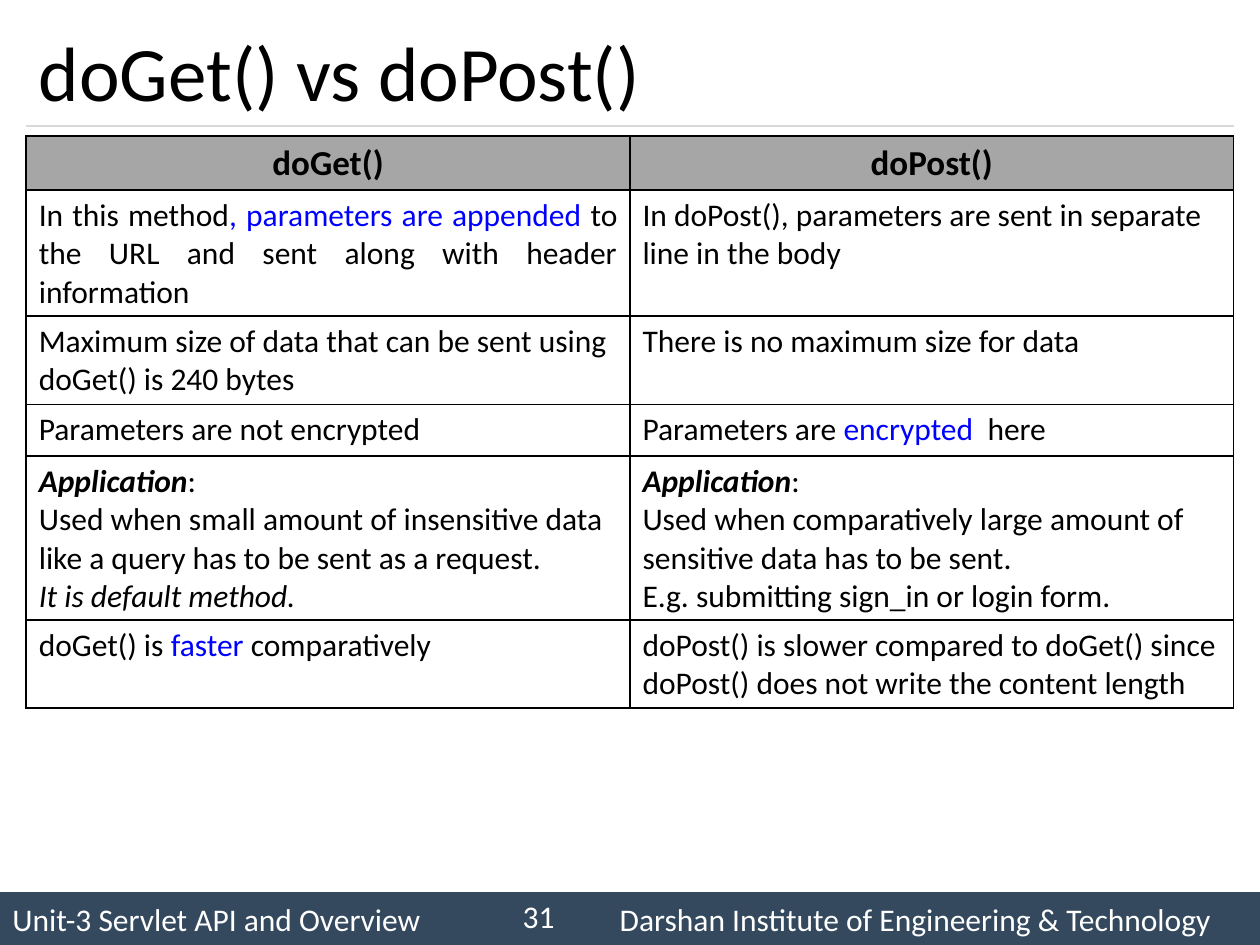
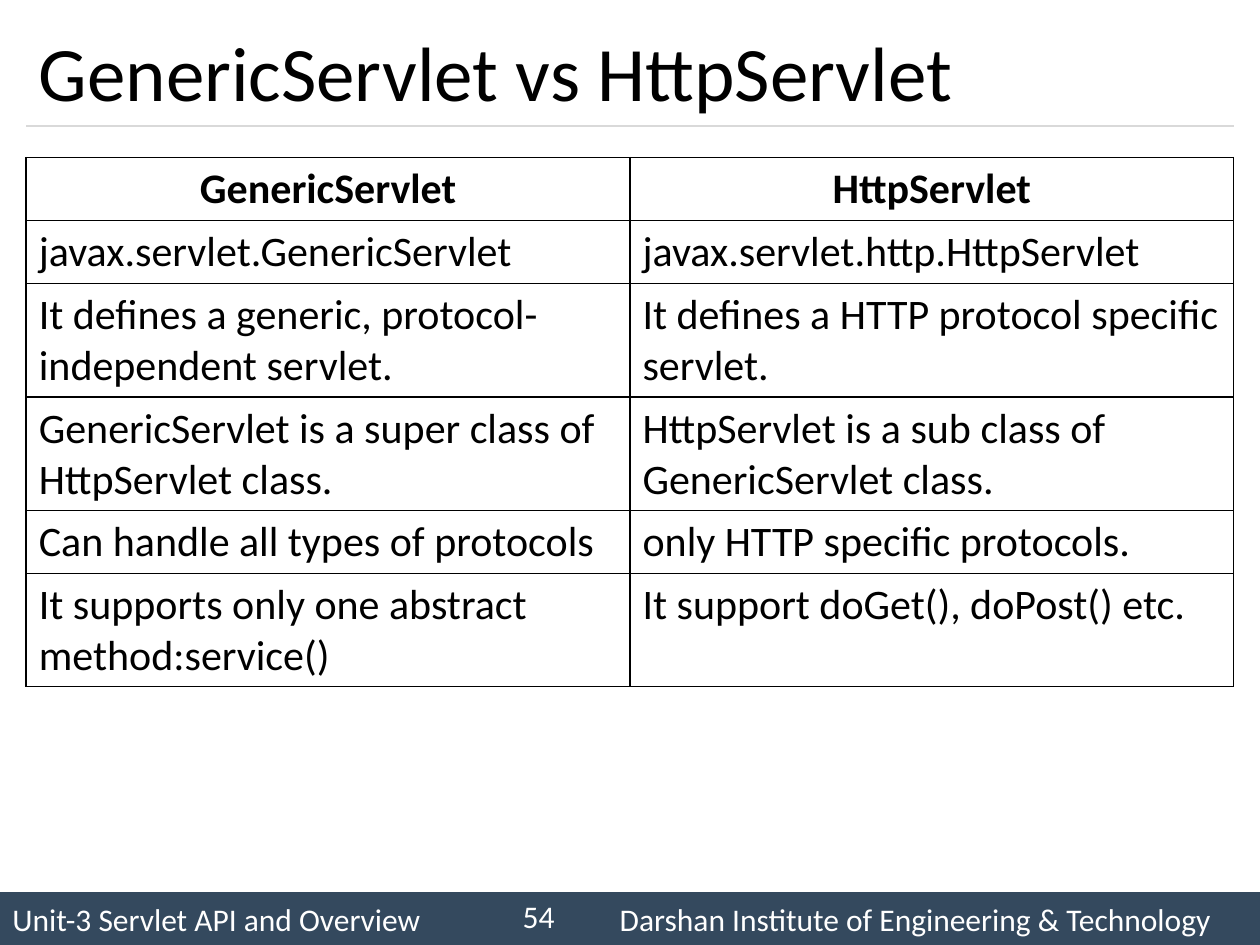
from lxml.etree import SubElement
from pptx import Presentation
from pptx.dml.color import RGBColor
from pptx.enum.shapes import MSO_CONNECTOR, MSO_SHAPE
from pptx.enum.text import MSO_ANCHOR, MSO_AUTO_SIZE, PP_ALIGN
from pptx.oxml.ns import qn
from pptx.util import Inches, Pt

COLORS = {
    "text": "000000",
    "highlight": "0000FF",
    "border": "000000",
    "header": "A6A6A6",
    "band": "34495E",
    "band_text": "FFFFFF",
    "rule": "D9D9D9",
}
FONT = "Calibri"
FOOTER_SIZE = 18
UNIT = "Unit-3 Servlet API and Overview"
INSTITUTE = "Darshan Institute of Engineering & Technology"

presentation = Presentation()
presentation.slide_width = Inches(10)
presentation.slide_height = Inches(7.5)
WIDTH, HEIGHT = presentation.slide_width, presentation.slide_height
GRID = WIDTH // 48
MARGIN, COLUMN = GRID, 23 * GRID
RULE_TOP = HEIGHT * 2 // 15
BAND_TOP = int(HEIGHT * 0.944)


def style(font, size, color="text", bold=False, italic=False):
    font.name, font.size = FONT, Pt(size)
    font.bold, font.italic = bold, italic
    font.color.rgb = RGBColor.from_string(COLORS[color])


def add_borders(cell):
    properties = cell._tc.get_or_add_tcPr()
    for position, side in enumerate(("lnL", "lnR", "lnT", "lnB")):
        line = SubElement(properties, qn(f"a:{side}"), w=str(Pt(1)))
        fill = SubElement(line, qn("a:solidFill"))
        SubElement(fill, qn("a:srgbClr"), val=COLORS["border"])
        properties.insert(position, line)


# A cell is a list of paragraphs; a paragraph is a list of (text, run format).
# Each row is (height in inches, left cell, right cell).
PLAIN, BLUE = {}, {"color": "highlight"}
BOLD, ITALIC = {"bold": True}, {"italic": True}
APPLICATION = [("Application", {**BOLD, **ITALIC}), (":", PLAIN)]

SLIDES = [
    {
        "title": "doGet() vs doPost()",
        "number": "31",
        "top": 1.08,
        "header_size": 20,
        "body_size": 18,
        "header_fill": "header",
        "justified": (1, 0),
        "rows": [
            (0.43, [[("doGet()", BOLD)]], [[("doPost()", BOLD)]]),
            (1.0,
             [[("In this method", PLAIN),
               (", parameters are appended ", BLUE),
               ("to the URL and sent along with header information", PLAIN)]],
             [[("In doPost(), parameters are sent in separate line in the body",
                PLAIN)]]),
            (0.7,
             [[("Maximum size of data that can be sent using doGet() is 240 bytes",
                PLAIN)]],
             [[("There is no maximum size for data", PLAIN)]]),
            (0.41,
             [[("Parameters are not encrypted", PLAIN)]],
             [[("Parameters are ", PLAIN), ("encrypted", BLUE), ("  here", PLAIN)]]),
            (1.3,
             [APPLICATION,
              [("Used when small amount of insensitive data like a query "
                "has to be sent as a request.", PLAIN)],
              [("It is default method.", ITALIC)]],
             [APPLICATION,
              [("Used when comparatively large amount of sensitive data "
                "has to be sent.", PLAIN)],
              [("E.g. submitting sign_in or login form.", PLAIN)]]),
            (0.7,
             [[("doGet() is ", PLAIN), ("faster", BLUE), (" comparatively", PLAIN)]],
             [[("doPost() is slower compared to doGet() since doPost() "
                "does not write the content length", PLAIN)]]),
        ],
    },
    {
        "title": "GenericServlet vs HttpServlet",
        "number": "54",
        "top": 1.25,
        "header_size": 24,
        "body_size": 24,
        "header_fill": None,
        "justified": None,
        "rows": [
            (0.5, [[("GenericServlet", BOLD)]], [[("HttpServlet", BOLD)]]),
            (0.5,
             [[("javax.servlet.GenericServlet", PLAIN)]],
             [[("javax.servlet.http.HttpServlet", PLAIN)]]),
            (0.9,
             [[("It defines a generic, protocol-independent servlet.", PLAIN)]],
             [[("It defines a HTTP protocol specific servlet.", PLAIN)]]),
            (0.9,
             [[("GenericServlet is a super class of HttpServlet class.", PLAIN)]],
             [[("HttpServlet is a sub class of GenericServlet class.", PLAIN)]]),
            (0.5,
             [[("Can handle all types of protocols", PLAIN)]],
             [[("only HTTP specific protocols.", PLAIN)]]),
            (0.9,
             [[("It supports only one abstract method:service()", PLAIN)]],
             [[("It support doGet(), doPost() etc.", PLAIN)]]),
        ],
    },
]

for content in SLIDES:
    slide = presentation.slides.add_slide(presentation.slide_layouts[5])

    # Footer band, with the institute set at a tab stop
    band = slide.shapes.add_shape(
        MSO_SHAPE.RECTANGLE, 0, BAND_TOP, WIDTH, HEIGHT - BAND_TOP)
    band.shadow.inherit = False
    band.fill.solid()
    band.fill.fore_color.rgb = RGBColor.from_string(COLORS["band"])
    band.line.fill.background()
    band.text_frame.vertical_anchor = MSO_ANCHOR.MIDDLE
    paragraph = band.text_frame.paragraphs[0]
    paragraph.alignment = PP_ALIGN.LEFT
    tabs = SubElement(paragraph._p.get_or_add_pPr(), qn("a:tabLst"))
    SubElement(tabs, qn("a:tab"), pos=str(Inches(4.82)), algn="l")
    paragraph.add_run().text = f"{UNIT}\t{INSTITUTE}"
    style(paragraph.runs[0].font, FOOTER_SIZE, "band_text")

    number = slide.shapes.add_textbox(
        int(WIDTH * 0.383), Inches(7.07), int(WIDTH * 0.067), Inches(0.4))
    number.text_frame.word_wrap = True
    number.text_frame.vertical_anchor = MSO_ANCHOR.MIDDLE
    number.text_frame.text = content["number"]
    paragraph = number.text_frame.paragraphs[0]
    paragraph.alignment = PP_ALIGN.RIGHT
    style(paragraph.runs[0].font, FOOTER_SIZE, "band_text")

    # Title and the rule under it
    rule = slide.shapes.add_connector(
        MSO_CONNECTOR.STRAIGHT, MARGIN, RULE_TOP, WIDTH - MARGIN, RULE_TOP)
    rule.line.color.rgb = RGBColor.from_string(COLORS["rule"])
    rule.line.width = Pt(0.75)
    SubElement(rule._element.spPr, qn("a:effectLst"))

    title = slide.shapes.title
    title.left, title.top = MARGIN, Inches(0.12)
    title.width, title.height = 2 * COLUMN, RULE_TOP - Inches(0.12)
    title.text_frame.text = content["title"]
    title.text_frame.auto_size = MSO_AUTO_SIZE.NONE
    title.text_frame.vertical_anchor = MSO_ANCHOR.MIDDLE
    paragraph = title.text_frame.paragraphs[0]
    paragraph.alignment = PP_ALIGN.LEFT
    style(paragraph.runs[0].font, 44)

    # The comparison: one table for each row, stacked
    top = Inches(content["top"])
    for row_index, (row_height, *cells) in enumerate(content["rows"]):
        is_header = row_index == 0
        size = content["header_size" if is_header else "body_size"]
        height = Inches(row_height)
        table = slide.shapes.add_table(
            1, 2, MARGIN, top, 2 * COLUMN, height).table
        table.first_row = table.horz_banding = False
        top += height
        for column_index, paragraphs in enumerate(cells):
            cell = table.cell(0, column_index)
            if is_header and content["header_fill"]:
                cell.fill.solid()
                cell.fill.fore_color.rgb = RGBColor.from_string(
                    COLORS[content["header_fill"]])
            else:
                cell.fill.background()
            add_borders(cell)
            for paragraph_index, runs in enumerate(paragraphs):
                if paragraph_index:
                    paragraph = cell.text_frame.add_paragraph()
                else:
                    paragraph = cell.text_frame.paragraphs[0]
                if is_header:
                    paragraph.alignment = PP_ALIGN.CENTER
                elif (row_index, column_index) == content["justified"]:
                    paragraph.alignment = PP_ALIGN.JUSTIFY
                for text, run_format in runs:
                    run = paragraph.add_run()
                    run.text = text
                    style(run.font, size, **run_format)

presentation.save("out.pptx")
